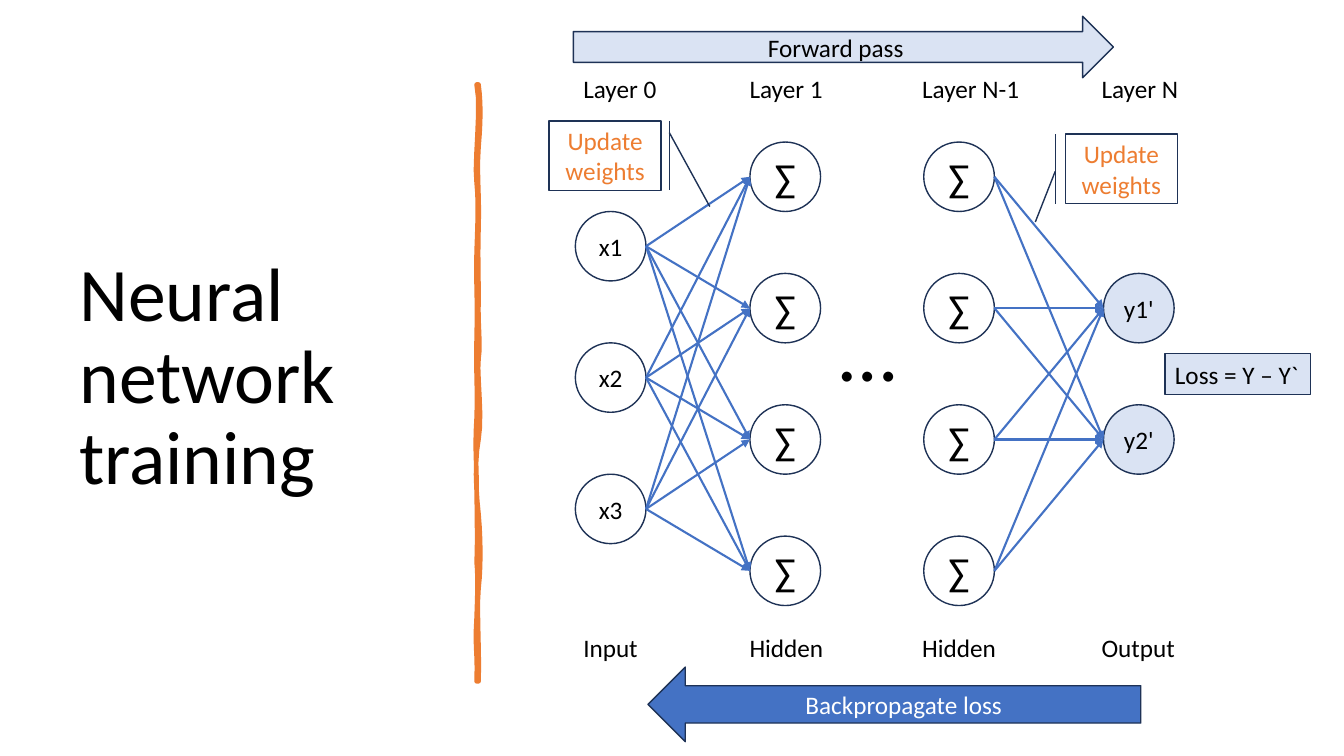
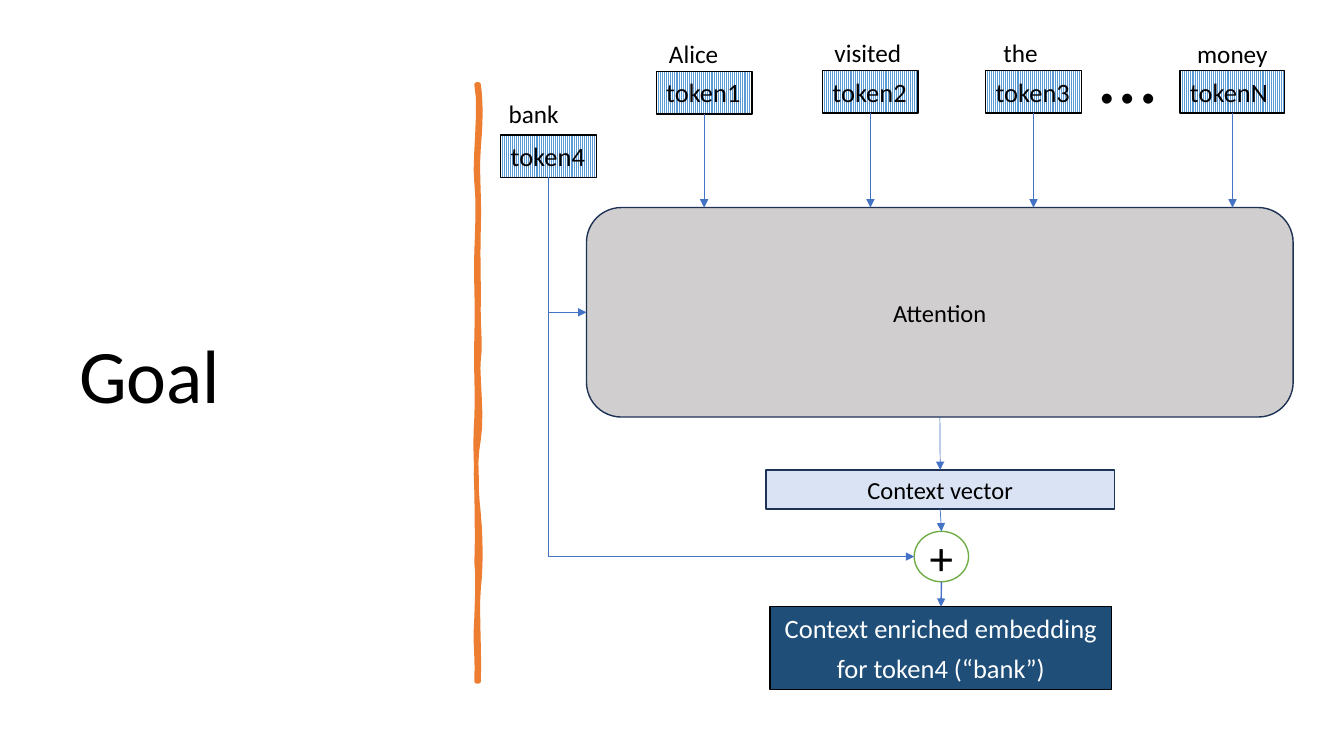
from itertools import product

from lxml import etree
from pptx import Presentation
from pptx.dml.color import RGBColor
from pptx.enum.dml import MSO_PATTERN
from pptx.enum.shapes import MSO_CONNECTOR, MSO_SHAPE
from pptx.enum.text import MSO_ANCHOR, PP_ALIGN
from pptx.oxml.ns import qn
from pptx.util import Cm, Pt

STRAIGHT, ELBOW = MSO_CONNECTOR.STRAIGHT, MSO_CONNECTOR.ELBOW
RECT, ROUND_RECT, OVAL = MSO_SHAPE.RECTANGLE, MSO_SHAPE.ROUNDED_RECTANGLE, MSO_SHAPE.OVAL
LEFT_ARROW, RIGHT_ARROW = MSO_SHAPE.LEFT_ARROW, MSO_SHAPE.RIGHT_ARROW
CALLOUT = MSO_SHAPE.LINE_CALLOUT_1_BORDER_AND_ACCENT_BAR
LEFT, CENTER = PP_ALIGN.LEFT, PP_ALIGN.CENTER
TOP, MIDDLE = MSO_ANCHOR.TOP, MSO_ANCHOR.MIDDLE
STRIPES = MSO_PATTERN.LIGHT_VERTICAL

COLORS = {
    "black": "000000", "white": "FFFFFF", "navy": "1E3256", "blue": "4472C4",
    "pale": "DAE3F3", "orange": "ED7D31", "gray": "D0CECE", "sky": "5B9BD5",
    "green": "70AD47", "deep": "1F4E79",
}
FONT = "Calibri"

# Hand-drawn rule: start point, then cubic curves (two controls and an end), in cm
BRUSH_START = (12.06, 2.13)
BRUSH_CURVES = [
    (12.12, 2.59, 12.12, 3.02, 12.06, 3.71), (12.01, 4.39, 12.09, 4.95, 12.06, 5.74),
    (12.04, 6.53, 12.06, 6.65, 12.06, 7.47), (12.04, 8.26, 12.12, 8.69, 12.06, 9.04),
    (12.01, 9.4, 12.17, 10.52, 12.06, 11.07), (11.96, 11.61, 11.99, 12.29, 12.06, 12.95),
    (12.12, 13.61, 12.12, 14.33, 12.06, 14.83), (12.01, 15.32, 12.09, 16.51, 12.06, 17.17),
    (12.04, 17.17, 12.01, 17.17, 12.01, 17.17), (12.04, 16.41, 11.96, 16.36, 12.01, 15.57),
    (12.04, 14.81, 12.04, 14.48, 12.01, 14.15), (12.04, 13.82, 12.01, 12.57, 12.01, 12.12),
    (12.01, 11.66, 11.96, 11.3, 12.01, 10.54), (12.04, 9.8, 11.99, 9.47, 12.01, 8.51),
    (12.04, 7.57, 11.99, 7.14, 12.01, 6.35), (12.04, 5.54, 12.06, 5.08, 12.01, 4.6),
    (11.94, 4.14, 12.14, 2.64, 12.01, 2.13),
]


def rgb(name):
    return RGBColor.from_string(COLORS[name])


def lengths(values):
    return [Cm(value) for value in values]


def apply(target, formats):
    for name, value in formats.items():
        setattr(target, name, value)


def curve_points(start, curves, steps=6):
    """Points along a chain of cubic curves."""
    points = []
    for curve in curves:
        first, second, end = curve[:2], curve[2:4], curve[4:]
        for step in range(1, steps + 1):
            t = step / steps
            u = 1 - t
            points.append([u**3 * a + 3 * u * u * t * b + 3 * u * t * t * c + t**3 * d
                           for a, b, c, d in zip(start, first, second, end)])
        start = end
    return points


def side(shape, site):
    """Middle of a side: 0 top, 1 left, 2 bottom, 3 right."""
    across, down = ((0.5, 0), (0, 0.5), (0.5, 1), (1, 0.5))[site]
    return (shape.left + int(shape.width * across), shape.top + int(shape.height * down))


class Deck:
    def __init__(self):
        self.presentation = Presentation()
        apply(self.presentation, {"slide_width": Cm(33.87), "slide_height": Cm(19.05)})

    def new_slide(self, title):
        self.slide = self.presentation.slides.add_slide(self.presentation.slide_layouts[6])
        self.label((1.75, 1.78, 9.5, 15.52), title, size=54, anchor=MIDDLE, spacing=0.9)
        self.brush_line()

    def brush_line(self):
        builder = self.slide.shapes.build_freeform(*lengths(BRUSH_START))
        builder.add_line_segments([lengths(p) for p in curve_points(BRUSH_START, BRUSH_CURVES)])
        brush = builder.convert_to_shape()
        self.paint(brush, "orange", "orange", 3.25)
        etree.SubElement(brush._element.spPr.find(qn("a:ln")), qn("a:round"))

    def paint(self, shape, fill, line, weight):
        shape.shadow.inherit = False
        if fill == "stripes":
            shape.fill.patterned()
            shape.fill.pattern = STRIPES
            shape.fill.fore_color.rgb = rgb("sky")
            shape.fill.back_color.rgb = rgb("white")
        elif fill:
            shape.fill.solid()
            shape.fill.fore_color.rgb = rgb(fill)
        else:
            shape.fill.background()
        shape.line.color.rgb = rgb(line)
        shape.line.width = Pt(weight)

    def set_text(self, shape, text, size=18, color="black", align=CENTER, anchor=MIDDLE,
                 after=0, spacing=1.0, wrap=True):
        frame = shape.text_frame
        frame.text = text
        apply(frame, {"word_wrap": wrap, "vertical_anchor": anchor})
        for paragraph in frame.paragraphs:
            apply(paragraph, {"alignment": align, "space_after": Pt(after),
                              "line_spacing": spacing})
            apply(paragraph.font, {"name": FONT, "size": Pt(size)})
            paragraph.font.color.rgb = rgb(color)

    def label(self, box, text, align=LEFT, anchor=TOP, **style):
        holder = self.slide.shapes.add_textbox(*lengths(box))
        self.set_text(holder, text, align=align, anchor=anchor, **style)

    def ellipsis(self, left, top):
        self.label((left, top, 2.06, 3.38), "…", size=59, after=6.3)

    def box(self, kind, box, text, fill=None, line="navy", weight=1, adjust=(), **style):
        shape = self.slide.shapes.add_shape(kind, *lengths(box))
        for index, value in enumerate(adjust):
            shape.adjustments[index] = value
        self.paint(shape, fill, line, weight)
        self.set_text(shape, text, **style)
        return shape

    def finish_line(self, connector, weight):
        connector.line.color.rgb = rgb("blue")
        connector.line.width = Pt(weight)
        properties = connector._element.spPr
        etree.SubElement(properties.find(qn("a:ln")), qn("a:tailEnd"), type="triangle")
        etree.SubElement(properties, qn("a:effectLst"))

    def arrow(self, begin, end, weight=0.5, source=None, target=None):
        """Straight arrow, joined to the bottom of source and the top of target if given."""
        connector = self.slide.shapes.add_connector(STRAIGHT, *begin, *end)
        if source:
            connector.begin_connect(source, 2)
        if target:
            connector.end_connect(target, 0)
        self.finish_line(connector, weight)

    def elbow(self, source, target, target_site):
        """Arrow from the bottom of source, down and then right to the left side of target."""
        (x1, y1), (x2, y2) = side(source, 2), side(target, 1)
        across, down = x2 - x1, y2 - y1
        connector = self.slide.shapes.add_connector(ELBOW, x1, y1, x2, y2)
        connector.begin_connect(source, 2)
        connector.end_connect(target, target_site)
        # The preset runs right and then down, so it is turned about its centre
        apply(connector, {"left": x1 + (across - down) // 2, "top": y1 + (down - across) // 2,
                          "width": down, "height": across})
        properties = connector._element.spPr
        frame = properties.find(qn("a:xfrm"))
        frame.set("rot", "16200000")
        frame.set("flipH", "1")
        properties.find(qn("a:prstGeom")).set("prst", "bentConnector2")
        self.finish_line(connector, 0.5)


def network_slide(deck):
    deck.new_slide("Neural network training")
    pitch = 3.31
    sums = ["∑"] * 4
    # node left, label left, first node top, node texts, size, fill, heading, role
    layers = [
        (14.5, 14.45, 5.33, ["x1", "x2", "x3"], 18, None, "Layer 0", "Input"),
        (18.9, 18.64, 3.58, sums, 28, None, "Layer 1", "Hidden"),
        (23.28, 22.99, 3.58, sums, 28, None, "Layer N-1", "Hidden"),
        (27.81, 27.51, 6.89, ["y1'", "y2'"], 18, "pale", "Layer N", "Output"),
    ]
    columns = []
    for left, label_left, top, texts, size, fill, heading, role in layers:
        columns.append([
            deck.box(OVAL, (left, top + row * pitch, 1.78, 1.75), text,
                     fill=fill, size=size, wrap=False)
            for row, text in enumerate(texts)])
        for label_top, text in ((1.73, heading), (15.82, role)):
            deck.label((label_left, label_top, 3.2, 1.02), text)

    inputs, first_hidden, last_hidden, outputs = columns
    for sources, targets in ((inputs, first_hidden), (last_hidden, outputs)):
        for source, target in product(sources, targets):
            deck.arrow(side(source, 3), side(target, 1), weight=1.5)
    deck.ellipsis(20.9, 7.42)

    deck.box(LEFT_ARROW, (16.33, 16.81, 12.42, 1.88), "Backpropagate loss",
             fill="blue", color="white")
    for left, top, pointer in ((13.84, 3.05, (0.167, 1.074, 1.233, 1.436)),
                               (26.85, 3.38, (0.536, -0.091, 1.266, -0.269))):
        deck.box(CALLOUT, (left, top, 2.82, 1.75), "Update weights",
                 color="orange", adjust=pointer)
    deck.box(RIGHT_ARROW, (14.45, 0.41, 13.61, 1.55), "Forward pass", fill="pale")
    deck.box(RECT, (29.36, 8.92, 3.66, 1.02), "Loss = Y – Y`", fill="pale",
             weight=0.75, align=LEFT, wrap=False)


def goal_slide(deck):
    deck.new_slide("Goal")
    attention = deck.box(ROUND_RECT, (14.78, 5.23, 17.81, 5.28), "Attention",
                         fill="gray", size=17.5, after=6)
    context = deck.box(RECT, (19.3, 11.84, 8.79, 0.99), "Context vector",
                       fill="pale", size=17.5, after=6)

    # token text, left, top, width, then word, left, top
    tokens = [
        ("token1", 16.54, 1.8, 2.41, "Alice", 16.61, 0.84),
        ("token2", 20.73, 1.78, 2.41, "visited", 20.78, 0.81),
        ("token3", 24.84, 1.78, 2.41, "the", 25.04, 0.81),
        ("tokenN", 29.74, 1.78, 2.64, "money", 29.92, 0.84),
        ("token4", 12.62, 3.4, 2.41, "bank", 12.57, 2.36),
    ]
    token_boxes = []
    for token, left, top, width, word, word_left, word_top in tokens:
        token_boxes.append(deck.box(RECT, (left, top, width, 1.07), token, fill="stripes",
                                    line="black", size=18.9, align=LEFT, anchor=TOP, after=6))
        deck.label((word_left, word_top, 2.41, 1.02), word)
    deck.ellipsis(27.46, 0.41)

    *others, bank = token_boxes
    for token_box in others:
        begin = side(token_box, 2)
        deck.arrow(begin, (begin[0], attention.top), source=token_box)

    plus = deck.box(OVAL, (23.04, 13.39, 1.37, 1.27), "+", fill="white", line="green",
                    size=33.6, after=6, wrap=False)
    enriched = deck.box(RECT, (19.41, 15.29, 8.61, 2.08),
                        "Context enriched embedding\nfor token4 (“bank”)", fill="deep",
                        line="black", size=18.9, color="white", anchor=TOP, after=6)
    deck.elbow(bank, attention, 1)
    deck.elbow(bank, plus, 2)  # an oval counts eight sites, so its left is 2
    deck.arrow(side(attention, 2), side(context, 0), source=attention, target=context)
    deck.arrow(side(context, 2), side(plus, 0), source=context, target=plus)
    deck.arrow(side(plus, 2), side(enriched, 0), weight=1, target=enriched)


def main():
    deck = Deck()
    network_slide(deck)
    goal_slide(deck)
    deck.presentation.save("out.pptx")


if __name__ == "__main__":
    main()
